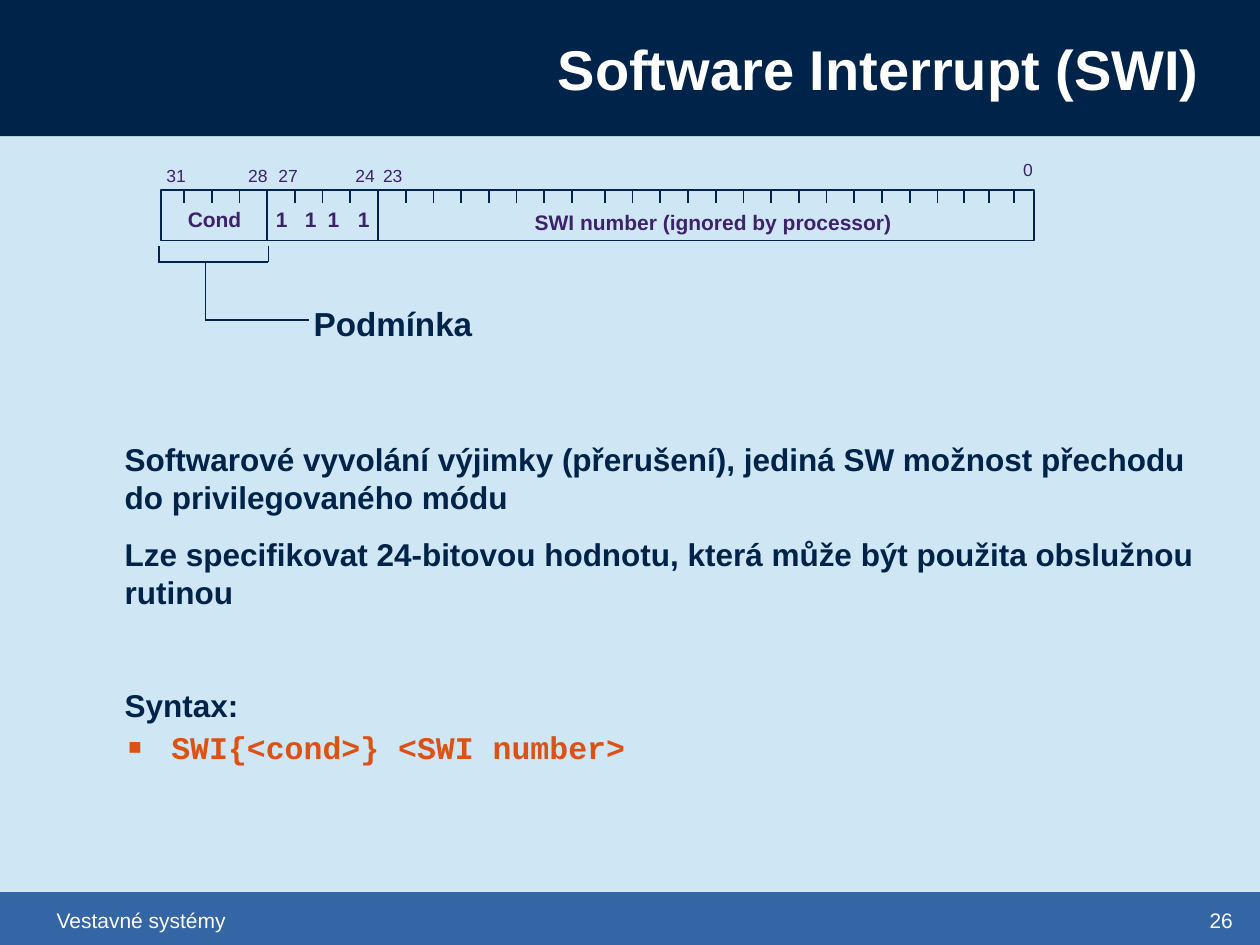
from lxml import etree
from pptx import Presentation
from pptx import util as u
from pptx.dml.color import RGBColor
from pptx.enum import shapes, text
from pptx.oxml.ns import qn

NAVY = RGBColor(0x00, 0x23, 0x4A)
BLUE = RGBColor(0x34, 0x65, 0xA4)
PALE = RGBColor(0xCF, 0xE7, 0xF5)
PURPLE = RGBColor(0x3D, 0x21, 0x6B)
ORANGE = RGBColor(0xDB, 0x52, 0x14)
WHITE = RGBColor(0xFF, 0xFF, 0xFF)

deck = Presentation()
deck.slide_width, deck.slide_height = u.Inches(10), u.Inches(7.5)
COLUMN = deck.slide_width / 100
ROW = deck.slide_height / 75


def cells(left, top, width, height):
    """Turn grid columns and rows into slide lengths."""
    return [round(n * unit) for n, unit in
            ((left, COLUMN), (top, ROW), (width, COLUMN), (height, ROW))]


def write(para, words, size=18, color=NAVY, bold=False, font="Arial",
          align=text.PP_ALIGN.LEFT, before=0):
    para.alignment = align
    para.space_before = u.Pt(before)
    span = para.add_run()
    span.text = words
    span.font.name, span.font.size = font, u.Pt(size)
    span.font.bold, span.font.color.rgb = bold, color


page = deck.slides.add_slide(deck.slide_layouts[1])
page.background.fill.solid()
page.background.fill.fore_color.rgb = PALE
title, body = page.placeholders

# Header and footer bands, and the frame of the instruction word
for area, fill in (((0, 0, 100, 10.8), NAVY),
                   ((0, 70.8, 100, 4.2), BLUE),
                   ((12.8, 15.1, 69.3, 4), None)):
    box = page.shapes.add_shape(shapes.MSO_SHAPE.RECTANGLE, *cells(*area))
    box.shadow.inherit = False
    if fill is None:
        box.fill.background()
        box.line.color.rgb, box.line.width = NAVY, u.Pt(1)
    else:
        box.fill.solid()
        box.fill.fore_color.rgb = fill
        box.line.fill.background()

# The title goes in front of the header band
page.shapes._spTree.append(title._element)
for holder, area in ((title, (21.7, 0, 74.5, 10.8)), (body, (3.3, 27.4, 93.3, 40.9))):
    holder.left, holder.top, holder.width, holder.height = cells(*area)
    holder.text_frame.auto_size = text.MSO_AUTO_SIZE.NONE
    holder.text_frame.vertical_anchor = text.MSO_ANCHOR.MIDDLE
write(title.text_frame.paragraphs[0], "Software Interrupt (SWI)", size=32,
      color=WHITE, bold=True, align=text.PP_ALIGN.RIGHT)

# Explanation and syntax
syntax = dict(font="Courier New", color=ORANGE, before=2.2)
items = [
    ("Softwarové vyvolání výjimky (přerušení), jediná SW možnost přechodu "
     "do privilegovaného módu", dict(before=11.2)),
    ("Lze specifikovat 24-bitovou hodnotu, která může být použita obslužnou "
     "rutinou", dict(before=11.2)),
    ("Syntax:", dict(before=43)),
    ("SWI{<cond>} <SWI number>", syntax),
]
for index, (words, style) in enumerate(items):
    frame = body.text_frame
    para = frame.add_paragraph() if index else frame.paragraphs[0]
    bulleted = style is syntax
    para.level = int(bulleted)
    write(para, words, bold=True, **style)
    properties = para._p.get_or_add_pPr()
    properties.set("marL", str(u.Inches(0.93 if bulleted else 0.56)))
    properties.set("indent", str(u.Inches(-0.34 if bulleted else 0)))
    if bulleted:
        tint = etree.SubElement(properties, qn("a:buClr"))
        etree.SubElement(tint, qn("a:srgbClr"), val=str(ORANGE))
        etree.SubElement(properties, qn("a:buSzPct"), val="70000")
        etree.SubElement(properties, qn("a:buFont"), typeface="Arial")
        etree.SubElement(properties, qn("a:buChar"), char="■")
    else:
        etree.SubElement(properties, qn("a:buNone"))

# Bit numbers, field names and footer texts
number = dict(size=10, color=PURPLE)
field = dict(size=12, color=PURPLE, bold=True)
footer = dict(size=12, color=WHITE)
labels = [(bit, (left, top, 3.8, 2.2), number) for bit, left, top in
          (("31", 12.5, 12.8), ("28", 19, 12.8), ("27", 21.4, 12.8),
           ("24", 27.5, 12.8), ("23", 29.7, 12.8), ("0", 80.5, 12.3))]
labels += [
    ("Cond\t1\t1\t1\t1", (14.2, 16.1, 18.5, 2.6), field),
    ("SWI number (ignored by processor)", (31.2, 16.3, 50.8, 2.6),
     dict(field, align=text.PP_ALIGN.CENTER)),
    ("Podmínka", (24.2, 23.8, 26, 3.8), dict(size=19, bold=True)),
    ("Vestavné systémy", (3.8, 71.7, 83, 2.7), footer),
    ("26", (95.3, 71.7, 4.7, 2.7), footer),
]
for words, area, style in labels:
    box = page.shapes.add_textbox(*cells(*area))
    frame = box.text_frame
    frame.word_wrap = True
    frame.margin_left = frame.margin_right = u.Inches(0.07)
    frame.margin_top = frame.margin_bottom = u.Inches(0.03)
    para = frame.paragraphs[0]
    write(para, words, **style)
    if "\t" in words:
        stops = etree.SubElement(para._p.get_or_add_pPr(), qn("a:tabLst"))
        for stop in (0.7, 0.93, 1.11, 1.35):
            etree.SubElement(stops, qn("a:tab"), pos=str(u.Inches(stop)), algn="l")

# Bit ticks, longer where a field ends, then the bracket under Cond
ticks = [start + step * k for start, step, count in
         ((14.6, 2.2, 15), (48, 2.2, 13), (76.5, 2, 3)) for k in range(count)]
lines = [(x, 15, x, 19.1 if bit in (3, 7) else 16.1) for bit, x in enumerate(ticks)]
lines += [(12.6, 19.5, 12.6, 20.8), (21.3, 19.5, 21.3, 20.8),
          (12.5, 20.8, 21.3, 20.8),
          (16.3, 20.8, 16.3, 25.4), (16.3, 25.4, 24.5, 25.4)]
for ends in lines:
    line = page.shapes.add_connector(shapes.MSO_CONNECTOR.STRAIGHT, *cells(*ends))
    line.line.color.rgb, line.line.width = NAVY, u.Pt(1)
    etree.SubElement(line._element.spPr, qn("a:effectLst"))

deck.save("out.pptx")
